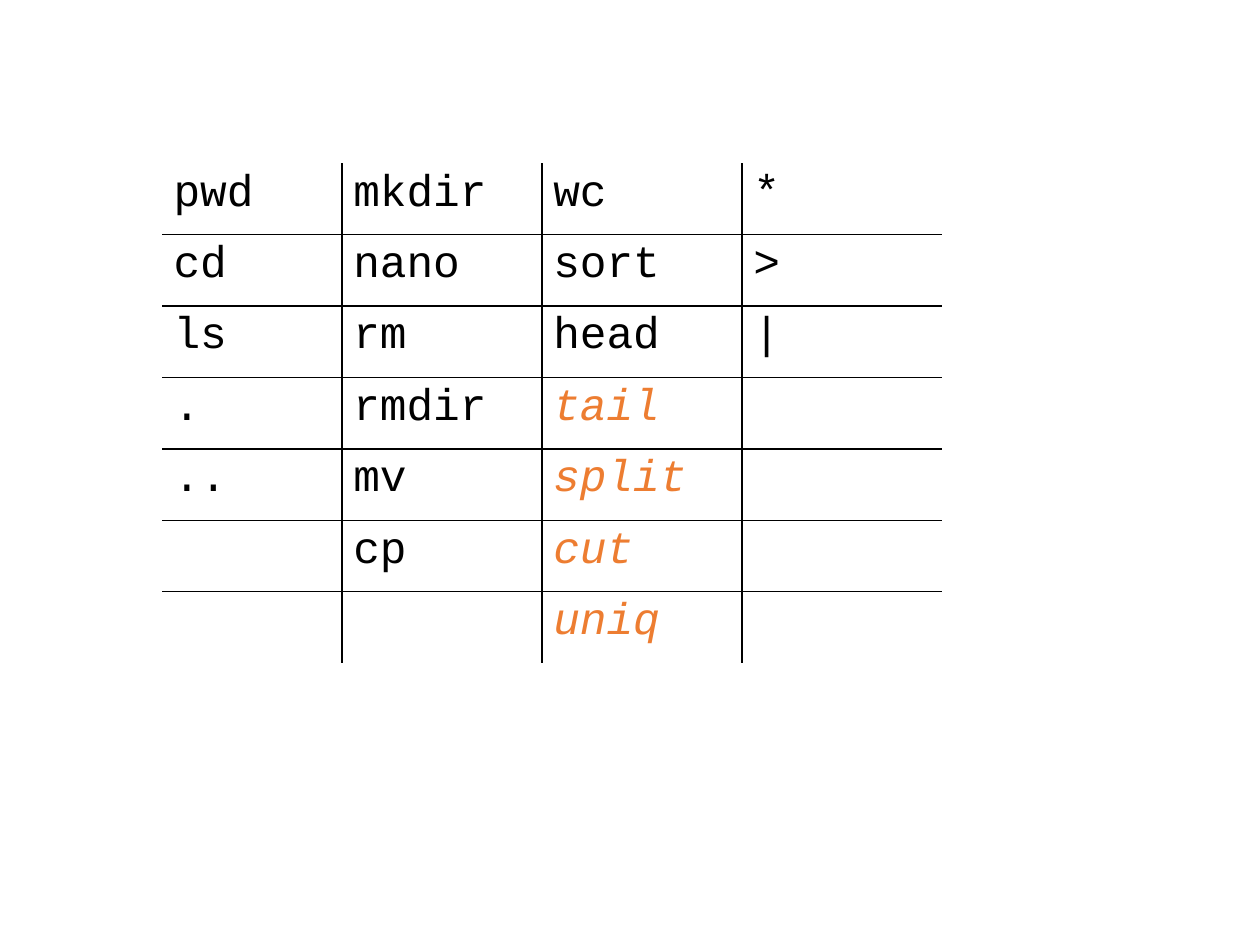
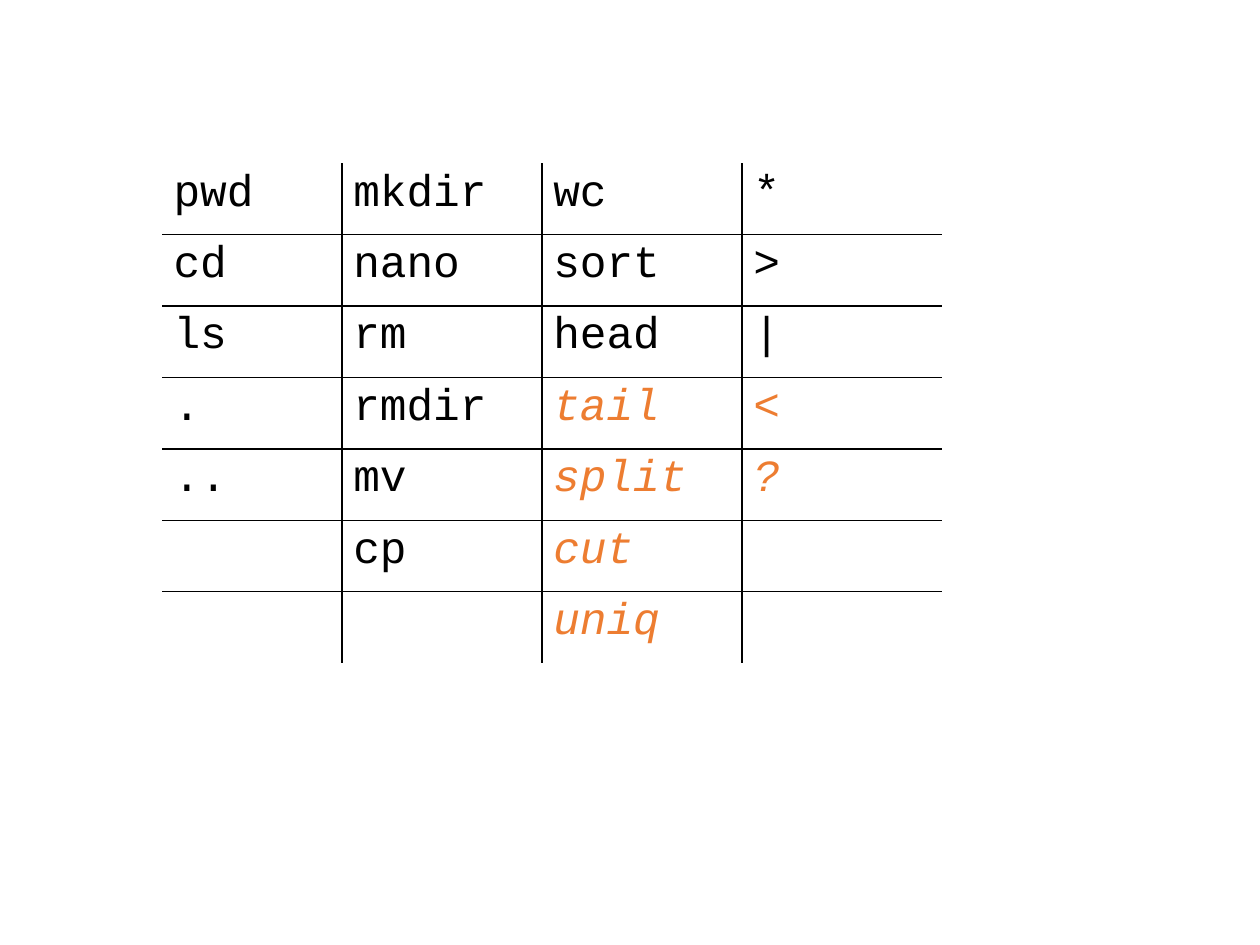
"""Builds two slides that recap shell commands in a ruled table."""
from dataclasses import dataclass

from lxml import etree
from pptx import Presentation
from pptx import util as u
from pptx.dml.color import RGBColor
from pptx.oxml import ns

COLORS = {"ink": "000000", "accent": "ED7D31"}
FONT = "Courier New"
LEFT, TOP, ROW_HEIGHT, ROW_COUNT = 102.2, 102.9, 45, 7
NO_STYLE = "{2D5ABB26-0587-4C30-8999-92F81FD0307C}"


@dataclass(frozen=True)
class CommandGroup:
    width: float
    known: tuple[str, ...]
    added: tuple[str, ...] = ()


NAVIGATION = CommandGroup(113.2, ("pwd", "cd", "ls", ".", ".."))
FILES = CommandGroup(126, ("mkdir", "nano", "rm", "rmdir", "mv", "cp"))
TEXT_TOOLS = CommandGroup(126, ("wc", "sort", "head"), ("tail", "split", "cut", "uniq"))
OPERATORS = CommandGroup(126, ("*", ">", "|"))
MORE_OPERATORS = CommandGroup(126, OPERATORS.known, ("<", "?"))

RECAPS = (
    (NAVIGATION, FILES, TEXT_TOOLS, OPERATORS),
    (NAVIGATION, FILES, TEXT_TOOLS, MORE_OPERATORS),
)


def write(cell, text: str, *, color: str = "ink", italic: bool = False, size: float = 28) -> None:
    paragraph = cell.text_frame.paragraphs[0]
    paragraph.line_spacing = 0.93
    paragraph.space_after = u.Pt(14.2)
    run = paragraph.add_run()
    run.text = text
    run.font.name = FONT
    run.font.size = u.Pt(size)
    run.font.italic = italic
    run.font.color.rgb = RGBColor.from_string(COLORS[color])


def rule_cell(cell, inner_sides: dict[str, bool], width: float = 1) -> None:
    properties = cell._tc.get_or_add_tcPr()
    for side, ruled in inner_sides.items():
        line = etree.SubElement(properties, ns.qn(f"a:ln{side}"), w=str(u.Pt(width)))
        if ruled:
            fill = etree.SubElement(line, ns.qn("a:solidFill"))
            etree.SubElement(fill, ns.qn("a:srgbClr"), val=COLORS["ink"])
        else:
            etree.SubElement(line, ns.qn("a:noFill"))
    cell.fill.background()


def add_recap(slide, groups: tuple[CommandGroup, ...]) -> None:
    frame = slide.shapes.add_table(
        ROW_COUNT, len(groups), u.Pt(LEFT), u.Pt(TOP),
        u.Pt(sum(group.width for group in groups)), u.Pt(ROW_HEIGHT * ROW_COUNT),
    )
    recap = frame.table
    recap.first_row = recap.horz_banding = False
    recap._tbl.tblPr.find(ns.qn("a:tableStyleId")).text = NO_STYLE
    for row in recap.rows:
        row.height = u.Pt(ROW_HEIGHT)
    for column, group in enumerate(groups):
        recap.columns[column].width = u.Pt(group.width)
        for row in range(ROW_COUNT):
            rule_cell(recap.cell(row, column), {
                "L": column > 0, "R": column < len(groups) - 1,
                "T": row > 0, "B": row < ROW_COUNT - 1,
            })
        for row, command in enumerate(group.known + group.added):
            is_added = row >= len(group.known)
            write(recap.cell(row, column), command,
                  color="accent" if is_added else "ink", italic=is_added)


def main() -> None:
    deck = Presentation()
    deck.slide_width, deck.slide_height = u.Pt(793.7), u.Pt(595.3)
    for groups in RECAPS:
        add_recap(deck.slides.add_slide(deck.slide_layouts[6]), groups)
    deck.save("out.pptx")


if __name__ == "__main__":
    main()
